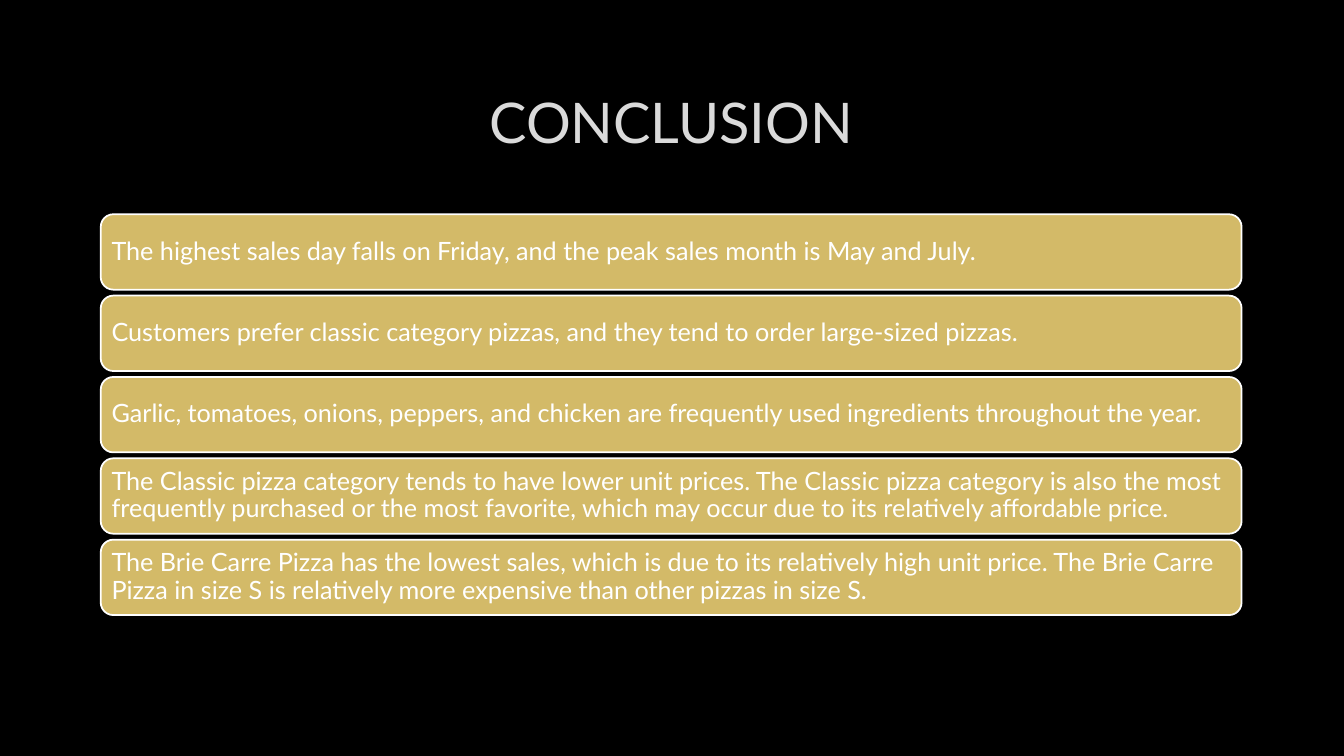
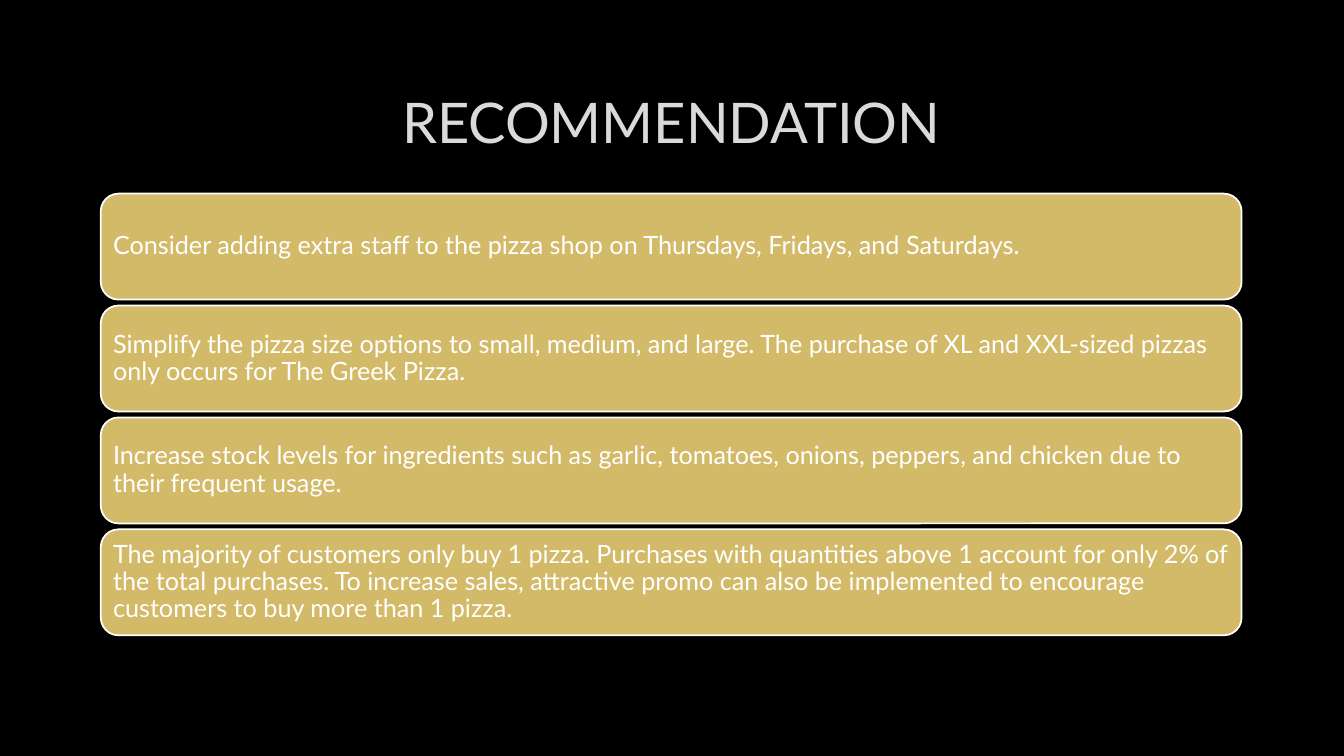
from pptx import Presentation
from pptx.dml.color import RGBColor
from pptx.enum.shapes import MSO_SHAPE
from pptx.enum.text import MSO_ANCHOR, PP_ALIGN
from pptx.util import Cm, Pt

ROUNDED = MSO_SHAPE.ROUNDED_RECTANGLE
MIDDLE = MSO_ANCHOR.MIDDLE
LEFT, CENTER = PP_ALIGN.LEFT, PP_ALIGN.CENTER

# Shared style
BLACK = RGBColor(0x00, 0x00, 0x00)
WHITE = RGBColor(0xFF, 0xFF, 0xFF)
SILVER = RGBColor(0xDA, 0xDA, 0xDA)
GOLD = RGBColor(0xD3, 0xBA, 0x68)
FONT = "Lato"
TITLE_ONLY = 5

# Shared grid
CONTENT_LEFT, CONTENT_WIDTH = Cm(2.54), Cm(28.75)
CARD_GAP = Cm(0.15)
CARD_INSET = Cm(0.18)

# Content
CONCLUSIONS = [
    "The highest sales day falls on Friday, and the peak sales month is May and July.",
    "Customers prefer classic category pizzas, and they tend to order large-sized pizzas.",
    "Garlic, tomatoes, onions, peppers, and chicken are frequently used ingredients "
    "throughout the year.",
    "The Classic pizza category tends to have lower unit prices. The Classic pizza category "
    "is also the most frequently purchased or the most favorite, which may occur due to its "
    "relatively affordable price.",
    "The Brie Carre Pizza has the lowest sales, which is due to its relatively high unit "
    "price. The Brie Carre Pizza in size S is relatively more expensive than other pizzas "
    "in size S.",
]
RECOMMENDATIONS = [
    "Consider adding extra staff to the pizza shop on Thursdays, Fridays, and Saturdays.",
    "Simplify the pizza size options to small, medium, and large. The purchase of XL and "
    "XXL-sized pizzas only occurs for The Greek Pizza.",
    "Increase stock levels for ingredients such as garlic, tomatoes, onions, peppers, and "
    "chicken due to their frequent usage.",
    "The majority of customers only buy 1 pizza. Purchases with quantities above 1 account "
    "for only 2% of the total purchases. To increase sales, attractive promo can also be "
    "implemented to encourage customers to buy more than 1 pizza.",
]


def prepare_layout(presentation):
    """Set the background and title position that all slides inherit."""
    background = presentation.slide_master.background.fill
    background.solid()
    background.fore_color.rgb = BLACK
    layout = presentation.slide_layouts[TITLE_ONLY]
    title = layout.placeholders[0]
    title.left, title.top = CONTENT_LEFT, Cm(1.7)
    title.width, title.height = CONTENT_WIDTH, Cm(2.7)
    title.text_frame.vertical_anchor = MIDDLE
    return layout


def write_text(text_frame, text, size, color, alignment):
    text_frame.text = text
    paragraph = text_frame.paragraphs[0]
    paragraph.alignment = alignment
    font = paragraph.runs[0].font
    font.name, font.size = FONT, Pt(size)
    font.color.rgb = color
    return paragraph


def add_card(slide, text, top, height):
    card = slide.shapes.add_shape(ROUNDED, CONTENT_LEFT, top, CONTENT_WIDTH, height)
    card.shadow.inherit = False
    card.fill.solid()
    card.fill.fore_color.rgb = GOLD
    card.line.color.rgb = WHITE
    card.line.width = Pt(1.25)

    text_frame = card.text_frame
    text_frame.word_wrap = True
    text_frame.vertical_anchor = MIDDLE
    text_frame.margin_left = text_frame.margin_right = CARD_INSET
    text_frame.margin_top = text_frame.margin_bottom = CARD_INSET
    paragraph = write_text(text_frame, text, 18, WHITE, LEFT)
    paragraph.line_spacing = 0.9


def add_card_slide(presentation, layout, title, texts, top, card_height):
    slide = presentation.slides.add_slide(layout)
    write_text(slide.shapes.title.text_frame, title, 40, SILVER, CENTER)
    for index, text in enumerate(texts):
        add_card(slide, text, top + index * (card_height + CARD_GAP), card_height)


def main():
    presentation = Presentation()
    presentation.slide_width, presentation.slide_height = Cm(33.87), Cm(19.05)
    layout = prepare_layout(presentation)
    add_card_slide(presentation, layout, "CONCLUSION", CONCLUSIONS, Cm(5.4), Cm(1.9))
    add_card_slide(presentation, layout, "RECOMMENDATION", RECOMMENDATIONS, Cm(4.88), Cm(2.67))
    presentation.save("out.pptx")


if __name__ == "__main__":
    main()
